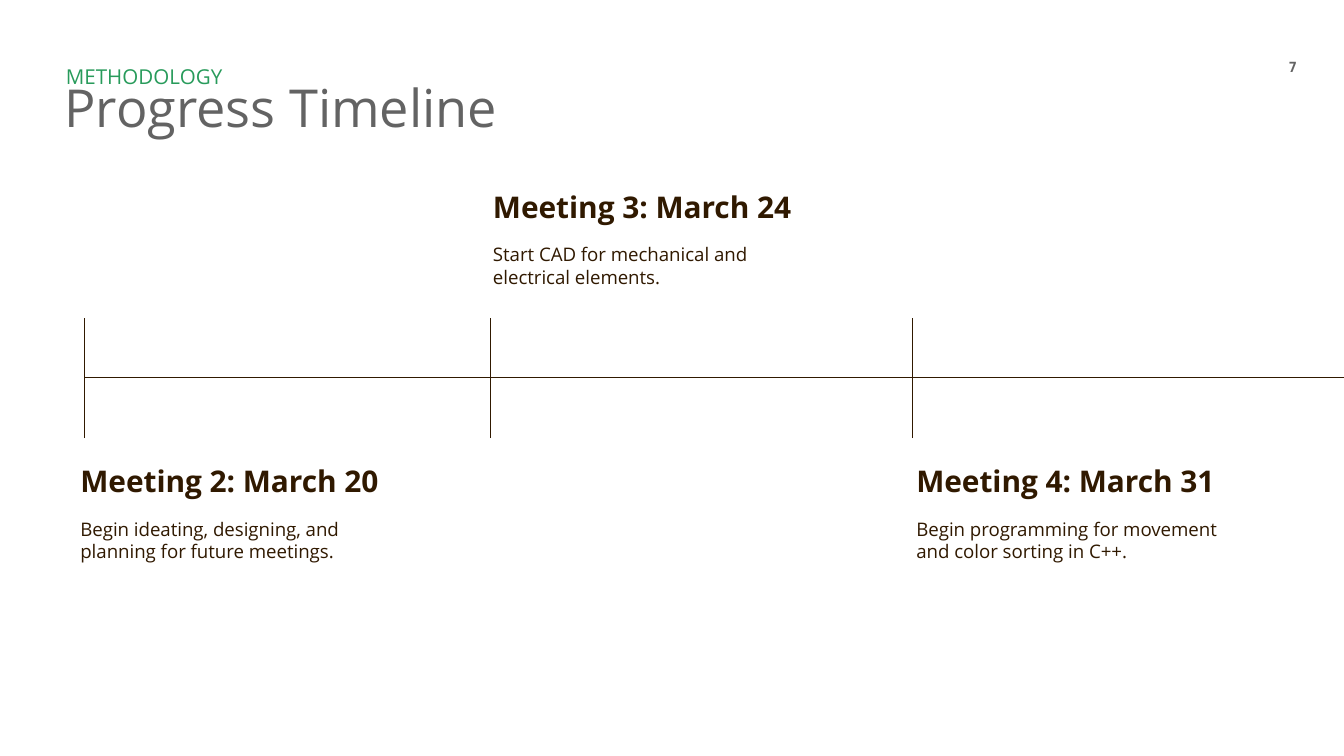
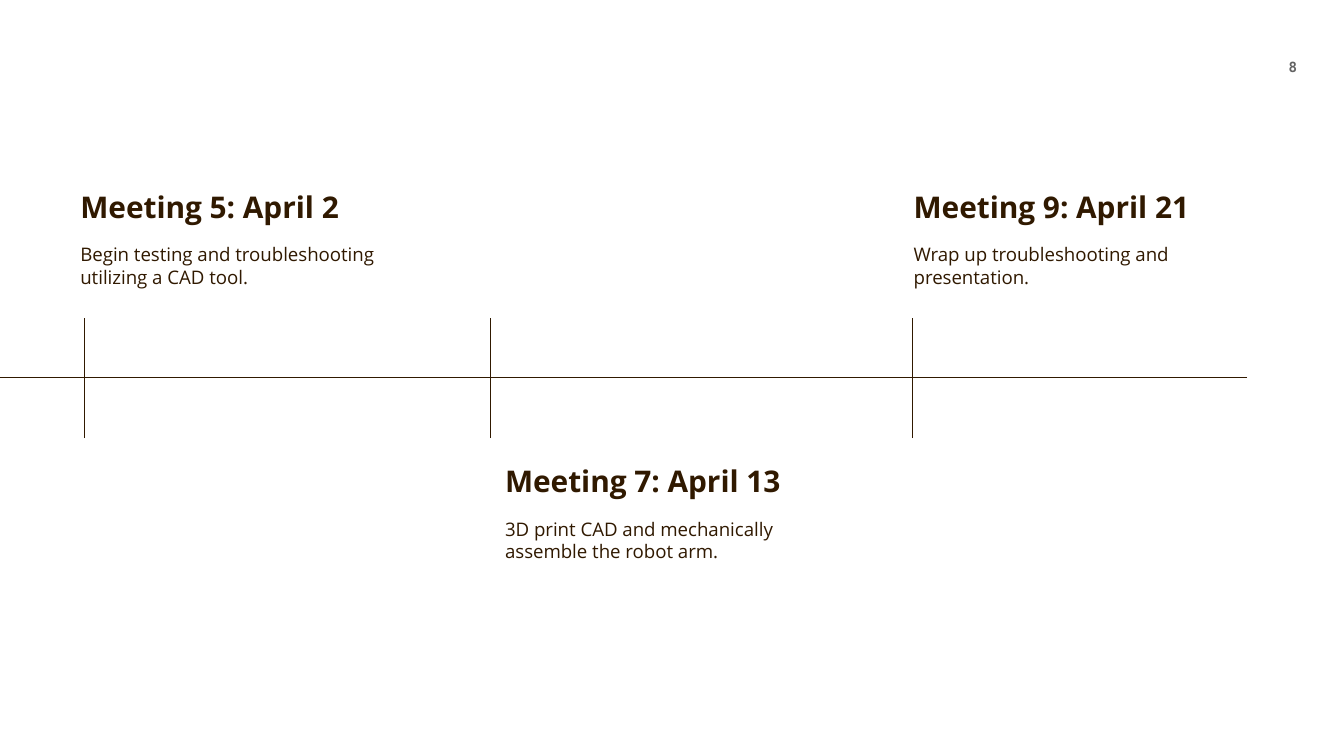
from lxml import etree
from pptx import Presentation
from pptx import util as u
from pptx.dml.color import RGBColor
from pptx.enum import shapes, text
from pptx.oxml import ns

FONT = "Open Sans"
NUMBER_FONT = "DejaVu Sans Mono"
BROWN, GRAY, GREEN = "301900", "636363", "289B5B"
TITLE_ONLY, BLANK = 5, 6
AXIS_Y = 2.81
TICK_TOP, TICK_BOTTOM = 2.37, 3.26
TICKS = (0.63, 3.65, 6.79)
ABOVE, BELOW = 1.34, 3.38


def color(value):
    return RGBColor.from_string(value)


def fill_text(box, words, size, shade, font=FONT, bold=False, inset=0.1,
              anchor=text.MSO_ANCHOR.TOP, align=text.PP_ALIGN.LEFT):
    frame = box.text_frame
    frame.word_wrap = True
    frame.auto_size = text.MSO_AUTO_SIZE.NONE
    frame.vertical_anchor = anchor
    frame.margin_left = frame.margin_right = u.Inches(inset)
    frame.margin_top = frame.margin_bottom = u.Inches(inset)
    frame.text = words
    para = frame.paragraphs[0]
    para.alignment = align
    span = para.runs[0]
    span.font.name = font
    span.font.size = u.Pt(size)
    span.font.bold = bold
    span.font.color.rgb = color(shade)
    return para


def add_text(page, place, words, size, shade, **style):
    box = page.shapes.add_textbox(*map(u.Inches, place))
    fill_text(box, words, size, shade, **style)


def add_line(page, *ends):
    line = page.shapes.add_connector(
        shapes.MSO_CONNECTOR.STRAIGHT, *map(u.Inches, ends))
    line.line.color.rgb = color(BROWN)
    line.line.width = u.Pt(0.75)
    etree.SubElement(line._element.spPr, ns.qn("a:effectLst"))


def add_title(page, kicker, words):
    title = page.shapes.title
    title.left, title.top = u.Inches(0.48), u.Inches(0.67)
    title.width, title.height = u.Inches(4.79), u.Inches(0.37)
    fill_text(title, words, 28, GRAY, inset=0).line_spacing = 0.75
    add_text(page, (0.49, 0.47, 2.49, 0.19), kicker, 11, GREEN,
             inset=0, anchor=text.MSO_ANCHOR.BOTTOM)


def add_meeting(page, left, top, heading, details):
    add_text(page, (left, top + 0.37, 2.56, 0.43), details, 10, BROWN)
    add_text(page, (left, top, 3.16, 0.43), heading, 16, BROWN,
             bold=True, anchor=text.MSO_ANCHOR.BOTTOM)


def add_timeline(deck, layout, number, start, end, meetings):
    page = deck.slides.add_slide(deck.slide_layouts[layout])
    add_text(page, (9.28, 0.28, 0.47, 0.43), str(number), 7.5, GRAY,
             font=NUMBER_FONT, bold=True, anchor=text.MSO_ANCHOR.MIDDLE,
             align=text.PP_ALIGN.RIGHT)
    add_line(page, end, AXIS_Y, start, AXIS_Y)
    for x in TICKS:
        add_line(page, x, TICK_BOTTOM, x, TICK_TOP)
    for meeting in meetings:
        add_meeting(page, *meeting)
    return page


def main():
    deck = Presentation()
    deck.slide_width = u.Inches(10)
    deck.slide_height = deck.slide_width * 9 // 16
    page = add_timeline(deck, TITLE_ONLY, 7, TICKS[0], 10.16, [
        (0.5, BELOW, "Meeting 2: March 20",
         "Begin ideating, designing, and planning for future meetings."),
        (3.57, ABOVE, "Meeting 3: March 24",
         "Start CAD for mechanical and electrical elements."),
        (6.72, BELOW, "Meeting 4: March 31",
         "Begin programming for movement and color sorting in C++."),
    ])
    add_title(page, "METHODOLOGY", "Progress Timeline")
    add_timeline(deck, BLANK, 8, -0.25, 9.28, [
        (0.5, ABOVE, "Meeting 5: April 2",
         "Begin testing and troubleshooting utilizing a CAD tool."),
        (3.66, BELOW, "Meeting 7: April 13",
         "3D print CAD and mechanically assemble the robot arm."),
        (6.7, ABOVE, "Meeting 9: April 21",
         "Wrap up troubleshooting and presentation."),
    ])
    deck.save("out.pptx")


if __name__ == "__main__":
    main()
